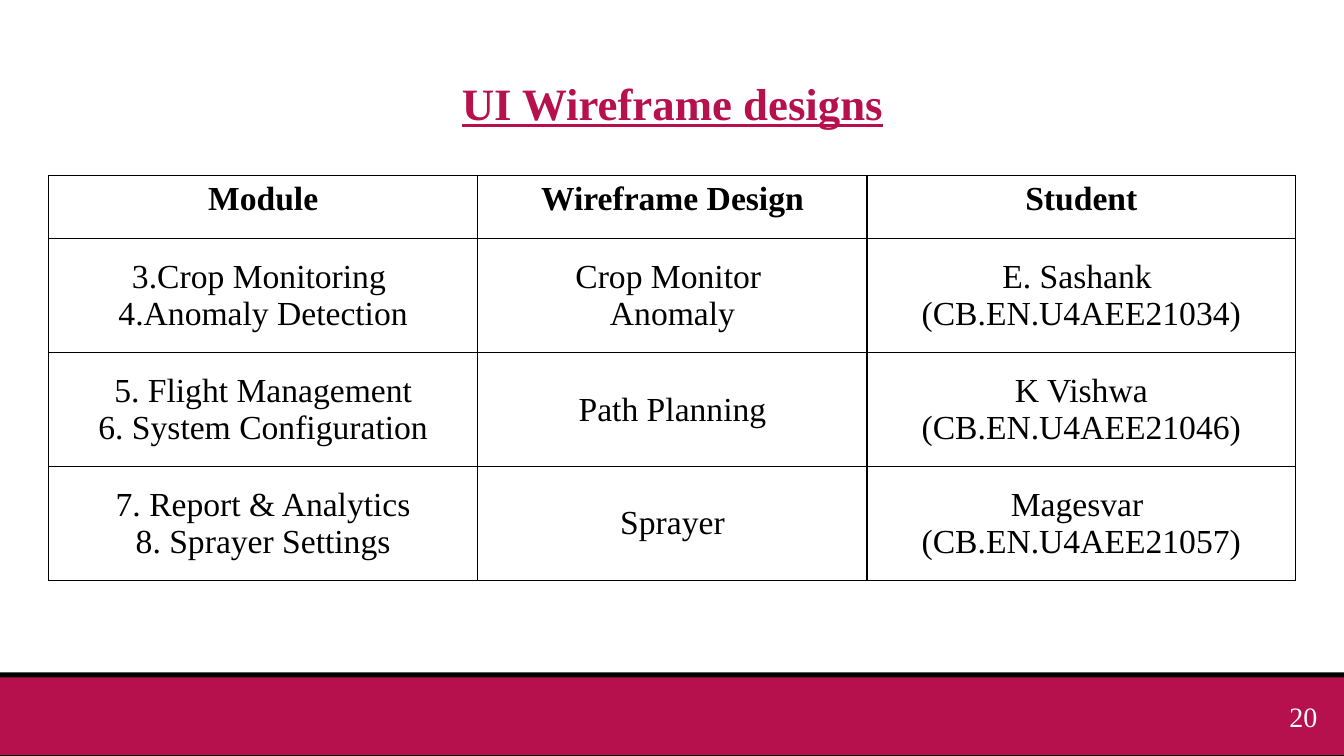
from dataclasses import dataclass

from lxml import etree
from pptx import Presentation
from pptx import util as u
from pptx.dml.color import RGBColor
from pptx.enum import shapes, text
from pptx.oxml.ns import qn


@dataclass(frozen=True)
class Theme:
    font: str = "Times New Roman"
    accent: str = "B6114D"
    ink: str = "000000"
    paper: str = "FFFFFF"
    title_size: int = 32
    table_size: int = 24
    number_size: int = 20
    border_width: int = 1


THEME = Theme()
WIDTH, HEIGHT = 13.33, 7.5
COLUMNS = (4.26, 3.86, 4.25)
ROWS = (0.63, 1.13, 1.13, 1.13)
CELLS = (
    (("Module",), ("Wireframe Design",), ("Student",)),
    (("3.Crop Monitoring ", "4.Anomaly Detection"),
     ("Crop Monitor \nAnomaly",),
     ("E. Sashank ", "(CB.EN.U4AEE21034)")),
    (("5. Flight Management", "6. System Configuration"),
     ("Path Planning",),
     ("K Vishwa", "(CB.EN.U4AEE21046)")),
    (("7. Report & Analytics", "8. Sprayer Settings"),
     ("Sprayer",),
     ("Magesvar \n(CB.EN.U4AEE21057)",)),
)


def write(frame, paragraphs, size, color, align, bold=False, underline=False):
    for index, content in enumerate(paragraphs):
        para = frame.add_paragraph() if index else frame.paragraphs[0]
        para.alignment = align
        for line_index, line in enumerate(content.split("\n")):
            if line_index:
                para.add_line_break()
            span = para.add_run()
            span.text = line
            span.font.name = THEME.font
            span.font.size = u.Pt(size)
            span.font.bold = bold
            span.font.underline = underline
            span.font.color.rgb = RGBColor.from_string(color)


def add_band(page, top, height, color):
    band = page.shapes.add_shape(shapes.MSO_SHAPE.RECTANGLE, 0, u.Inches(top),
                                 u.Inches(WIDTH), u.Inches(height))
    band.shadow.inherit = False
    band.fill.solid()
    band.fill.fore_color.rgb = RGBColor.from_string(color)
    band.line.fill.background()


def add_page_number(page, number):
    box = page.shapes.add_textbox(u.Inches(12.69), u.Inches(6.89),
                                  u.Inches(0.64), u.Inches(0.4))
    box.text_frame.word_wrap = True
    write(box.text_frame, [number], THEME.number_size, THEME.paper, text.PP_ALIGN.LEFT)


def set_title(page, content):
    title = page.shapes.title
    title.left, title.top = u.Inches(4.39), u.Inches(0.7)
    title.width, title.height = u.Inches(4.56), u.Inches(0.64)
    title.text_frame.word_wrap = True
    title.text_frame.auto_size = text.MSO_AUTO_SIZE.SHAPE_TO_FIT_TEXT
    write(title.text_frame, [content], THEME.title_size, THEME.accent,
          text.PP_ALIGN.CENTER, bold=True, underline=True)


def set_borders(cell):
    properties = cell._tc.get_or_add_tcPr()
    for index, side in enumerate(("lnL", "lnR", "lnT", "lnB")):
        line = etree.Element(qn(f"a:{side}"), w=str(u.Pt(THEME.border_width)))
        fill = etree.SubElement(line, qn("a:solidFill"))
        etree.SubElement(fill, qn("a:srgbClr"), val=THEME.ink)
        properties.insert(index, line)


def add_module_table(page):
    frame = page.shapes.add_table(len(ROWS), len(COLUMNS), u.Inches(0.48), u.Inches(1.74),
                                  u.Inches(sum(COLUMNS)), u.Inches(sum(ROWS)))
    table = frame.table
    for column, width in zip(table.columns, COLUMNS):
        column.width = u.Inches(width)
    for row_index, (height, contents) in enumerate(zip(ROWS, CELLS)):
        table.rows[row_index].height = u.Inches(height)
        header = row_index == 0
        for column_index, paragraphs in enumerate(contents):
            cell = table.cell(row_index, column_index)
            cell.fill.background()
            set_borders(cell)
            cell.vertical_anchor = text.MSO_ANCHOR.TOP if header else text.MSO_ANCHOR.MIDDLE
            write(cell.text_frame, paragraphs, THEME.table_size, THEME.ink,
                  text.PP_ALIGN.CENTER, bold=header)


def main():
    deck = Presentation()
    deck.slide_width, deck.slide_height = u.Inches(WIDTH), u.Inches(HEIGHT)
    page = deck.slides.add_slide(deck.slide_layouts[5])
    add_band(page, 6.67, 0.83, THEME.ink)
    add_band(page, 6.72, 0.77, THEME.accent)
    add_page_number(page, "20")
    set_title(page, "UI Wireframe designs")
    add_module_table(page)
    deck.save("out.pptx")


if __name__ == "__main__":
    main()
